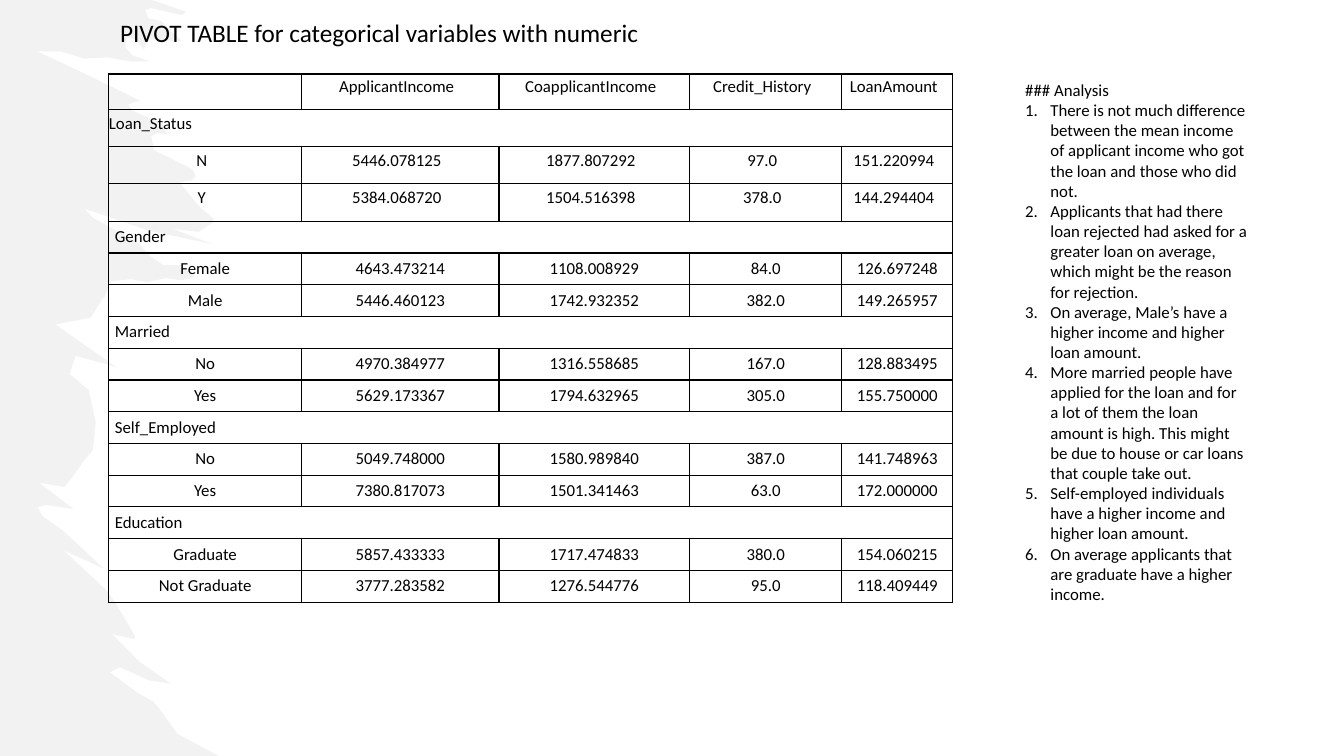
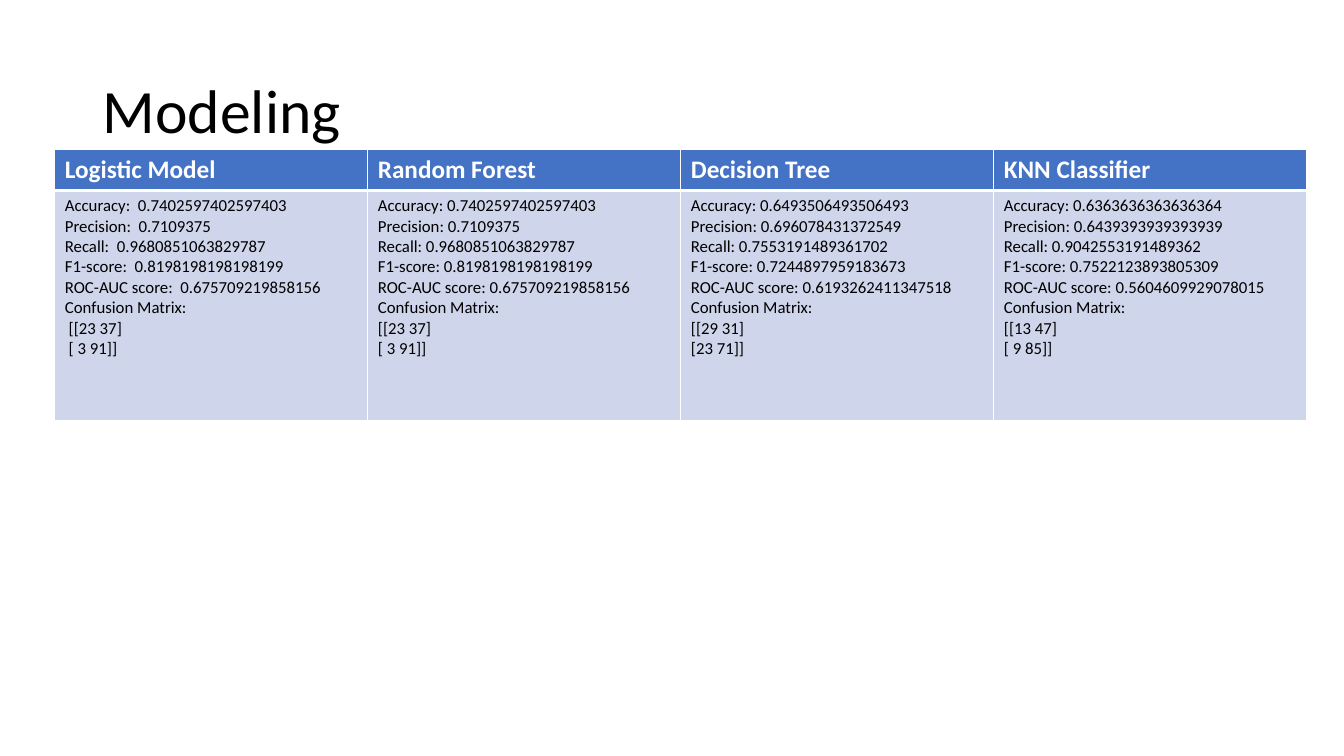
from lxml import etree
from pptx import Presentation
from pptx.dml.color import RGBColor
from pptx.enum.text import MSO_ANCHOR, MSO_AUTO_SIZE, PP_ALIGN
from pptx.oxml.ns import qn
from pptx.util import Inches, Pt

LEFT, CENTER = PP_ALIGN.LEFT, PP_ALIGN.CENTER
TOP, MIDDLE = MSO_ANCHOR.TOP, MSO_ANCHOR.MIDDLE
NO_AUTOFIT = MSO_AUTO_SIZE.NONE

BLACK = RGBColor(0x00, 0x00, 0x00)
WHITE = RGBColor(0xFF, 0xFF, 0xFF)
BLUE = RGBColor(0x44, 0x72, 0xC4)
PALE_BLUE = RGBColor(0xCF, 0xD5, 0xEA)
GRAY = RGBColor(0xE7, 0xE6, 0xE6)

FONT = "Calibri"
BODY_SIZE, HEADING_SIZE, TITLE_SIZE = 12, 18, 44
TITLE_AND_CONTENT, TITLE_ONLY = 1, 5
GRID = 100  # columns and rows on every slide
BRUSH_UNITS = 750  # brush edge units per slide height

# Cell margins: left, top, right, bottom in inches
HEADER_MARGINS = (0, 0.02, 0.07, 0.12)
STATUS_MARGINS = (0, 0.04, 0.07, 0.12)
GROUP_MARGINS = (0.06, 0.03, 0.06, 0.03)
PLAIN_MARGINS = (0.1, 0.05, 0.1, 0.05)

BRUSH_EDGE = [
    (0, 0), (151, 0), (185, 12), (180, 15), (150, 8), (144, 10), (147, 18),
    (160, 21), (180, 41), (150, 39), (145, 43), (143, 49), (134, 39),
    (126, 37), (124, 46), (131, 55), (149, 61), (129, 61), (107, 57),
    (83, 58), (60, 51), (37, 51), (88, 75), (139, 100), (134, 101),
    (127, 104), (132, 110), (159, 122), (166, 133), (157, 132), (150, 135),
    (153, 149), (191, 168), (194, 175), (190, 179), (178, 181), (195, 202),
    (201, 208), (212, 217), (212, 220), (197, 230), (171, 227), (210, 242),
    (148, 229), (84, 207), (92, 216), (136, 240), (149, 254), (162, 263),
    (180, 263), (193, 275), (180, 278), (164, 276), (146, 280), (130, 277),
    (110, 279), (104, 294), (102, 296), (90, 315), (65, 320), (55, 322),
    (115, 364), (75, 353), (69, 371), (88, 387), (95, 419), (92, 447),
    (84, 456), (72, 473), (64, 483), (39, 479), (73, 505), (46, 501),
    (37, 503), (42, 512), (62, 526), (103, 564), (63, 546), (105, 585),
    (115, 599), (134, 631), (133, 634), (111, 629), (139, 657), (169, 678),
    (148, 675), (119, 662), (109, 667), (136, 687), (152, 696), (158, 703),
    (176, 728), (217, 750), (0, 750),
]

PIVOT_HEADER = ["", "ApplicantIncome", "CoapplicantIncome", "Credit_History", "LoanAmount"]
PIVOT_GROUPS = {
    "Loan_Status": [
        ["N", "5446.078125", "1877.807292", "97.0", "151.220994"],
        ["Y", "5384.068720", "1504.516398", "378.0", "144.294404"],
    ],
    "Gender": [
        ["Female", "4643.473214", "1108.008929", "84.0", "126.697248"],
        ["Male", "5446.460123", "1742.932352", "382.0", "149.265957"],
    ],
    "Married": [
        ["No", "4970.384977", "1316.558685", "167.0", "128.883495"],
        ["Yes", "5629.173367", "1794.632965", "305.0", "155.750000"],
    ],
    "Self_Employed": [
        ["No", "5049.748000", "1580.989840", "387.0", "141.748963"],
        ["Yes", "7380.817073", "1501.341463", "63.0", "172.000000"],
    ],
    "Education": [
        ["Graduate", "5857.433333", "1717.474833", "380.0", "154.060215"],
        ["Not Graduate", "3777.283582", "1276.544776", "95.0", "118.409449"],
    ],
}

ANALYSIS = [
    "There is not much difference between the mean income of applicant income "
    "who got the loan and those who did not.",
    "Applicants that had there loan rejected had asked for a greater loan on "
    "average, which might be the reason for rejection.",
    "On average, Male’s have a higher income and higher loan amount.",
    "More married people have applied for the loan and for a lot of them the "
    "loan amount is high. This might be due to house or car loans that couple take out.",
    "Self-employed individuals have a higher income and higher loan amount.",
    "On average applicants that are graduate have a higher income.",
]

METRICS = ["Accuracy", "Precision", "Recall", "F1-score", "ROC-AUC score"]
# Model name, gap after a label, metric values, confusion matrix lines
MODELS = [
    ("Logistic Model", "  ",
     ["0.7402597402597403", "0.7109375", "0.9680851063829787",
      "0.8198198198198199", "0.675709219858156"], [" [[23 37]", " [ 3 91]]"]),
    ("Random Forest", " ",
     ["0.7402597402597403", "0.7109375", "0.9680851063829787",
      "0.8198198198198199", "0.675709219858156"], ["[[23 37]", "[ 3 91]]"]),
    ("Decision Tree", " ",
     ["0.6493506493506493", "0.696078431372549", "0.7553191489361702",
      "0.7244897959183673", "0.6193262411347518"], ["[[29 31]", "[23 71]]"]),
    ("KNN Classifier", " ",
     ["0.6363636363636364", "0.6439393939393939", "0.9042553191489362",
      "0.7522123893805309", "0.5604609929078015"], ["[[13 47]", "[ 9 85]]"]),
]


def write(frame, lines, size=BODY_SIZE, color=BLACK, bold=False, align=LEFT, line_spacing=1.0):
    """Fill a text frame with one formatted paragraph per line."""
    for index, line in enumerate(lines):
        paragraph = frame.paragraphs[0] if index == 0 else frame.add_paragraph()
        paragraph.alignment = align
        paragraph.line_spacing = line_spacing
        paragraph.space_before = paragraph.space_after = Pt(0)
        if not line:
            etree.SubElement(paragraph._p, qn("a:endParaRPr"), sz=str(size * 100))
            continue
        run = paragraph.add_run()
        run.text = line
        run.font.name = FONT
        run.font.size = Pt(size)
        run.font.bold = bold
        run.font.color.rgb = color


def set_list_level(paragraph, numbered):
    """Number a paragraph with a hanging indent, or remove its bullet."""
    properties = paragraph._p.get_or_add_pPr()
    indent = Inches(0.25) if numbered else 0
    properties.set("marL", str(indent))
    properties.set("indent", str(-indent))
    if numbered:
        etree.SubElement(properties, qn("a:buFont"), typeface=FONT)
        etree.SubElement(properties, qn("a:buAutoNum"), type="arabicPeriod")
    else:
        etree.SubElement(properties, qn("a:buNone"))


def set_borders(cell, color, **widths):
    """Draw the cell borders, one point wide unless a side is given."""
    properties = cell._tc.get_or_add_tcPr()
    for side in "LRTB":
        width = str(Pt(widths.get(side, 1)))
        line = etree.SubElement(properties, qn(f"a:ln{side}"), w=width)
        fill = etree.SubElement(line, qn("a:solidFill"))
        etree.SubElement(fill, qn("a:srgbClr"), val=str(color))


def format_cell(cell, lines, margins=PLAIN_MARGINS, anchor=TOP, fill=None, **text_format):
    """Set the text, margins, anchor and fill of a table cell."""
    cell.margin_left, cell.margin_top, cell.margin_right, cell.margin_bottom = map(Inches, margins)
    cell.vertical_anchor = anchor
    if fill is None:
        cell.fill.background()
    else:
        cell.fill.solid()
        cell.fill.fore_color.rgb = fill
    write(cell.text_frame, lines, **text_format)


class Deck:
    """The presentation, its grid and the current slide."""

    def __init__(self):
        """Start a widescreen presentation."""
        self.presentation = Presentation()
        self.presentation.slide_width = Inches(13.33)
        self.presentation.slide_height = Inches(7.5)
        self.slide = None

    def across(self, columns):
        """Convert grid columns to a length."""
        return round(self.presentation.slide_width * columns / GRID)

    def down(self, rows):
        """Convert grid rows to a length."""
        return round(self.presentation.slide_height * rows / GRID)

    def add_slide(self, layout):
        """Add a slide and make it current."""
        self.slide = self.presentation.slides.add_slide(self.presentation.slide_layouts[layout])

    def place(self, shape, left, top, width, height):
        """Move a placeholder to its place on the grid."""
        shape.left, shape.top = self.across(left), self.down(top)
        shape.width, shape.height = self.across(width), self.down(height)
        shape.text_frame.word_wrap = True
        shape.text_frame.auto_size = NO_AUTOFIT

    def title(self, text, box, anchor=MIDDLE, **text_format):
        """Fill the title placeholder."""
        shape = self.slide.shapes.title
        self.place(shape, *box)
        shape.text_frame.vertical_anchor = anchor
        write(shape.text_frame, [text], **text_format)

    def numbered_list(self, heading, items, box):
        """Fill the body placeholder with a heading and numbered items."""
        shape = self.slide.placeholders[1]
        self.place(shape, *box)
        shape.text_frame.vertical_anchor = TOP
        write(shape.text_frame, [heading] + items)
        for index, paragraph in enumerate(shape.text_frame.paragraphs):
            set_list_level(paragraph, numbered=index > 0)

    def brush(self):
        """Draw the translucent brush stroke behind the left edge."""
        scale = self.presentation.slide_height / BRUSH_UNITS
        builder = self.slide.shapes.build_freeform(*BRUSH_EDGE[0], scale=scale)
        builder.add_line_segments(BRUSH_EDGE[1:], close=True)
        shape = builder.convert_to_shape()
        shape.shadow.inherit = False
        shape.line.fill.background()
        shape.fill.solid()
        shape.fill.fore_color.rgb = GRAY
        color = shape._element.spPr.find(".//" + qn("a:srgbClr"))
        etree.SubElement(color, qn("a:alpha"), val="50000")
        self.slide.shapes._spTree.insert(2, shape._element)

    def table(self, left, top, columns, rows):
        """Add an unbanded table with the given column and row sizes."""
        frame = self.slide.shapes.add_table(
            len(rows), len(columns), self.across(left), self.down(top),
            self.across(sum(columns)), self.down(sum(rows)))
        table = frame.table
        table.first_row = table.horz_banding = False
        for column, width in zip(table.columns, columns):
            column.width = self.across(width)
        for row, height in zip(table.rows, rows):
            row.height = self.down(height)
        return table


def pivot_slide(deck):
    """Build the pivot table and its analysis."""
    deck.add_slide(TITLE_AND_CONTENT)
    deck.brush()
    deck.title("PIVOT TABLE for categorical variables with numeric",
               (8.18, 1.6, 82.8, 5.4), anchor=TOP, size=HEADING_SIZE)
    deck.numbered_list("### Analysis", ANALYSIS, (75.53, 9.87, 18.15, 71.33))

    lines = [PIVOT_HEADER]
    for group, records in PIVOT_GROUPS.items():
        lines += [[group, "", "", "", ""]] + records
    table = deck.table(8.1, 9.8, [14.33, 14.7, 14.18, 11.33, 8.25],
                       [4.67] + [4.93] * 3 + [4.2] * 12)
    for row, values in enumerate(lines):
        is_group = values[0] in PIVOT_GROUPS
        margins = HEADER_MARGINS if row == 0 else STATUS_MARGINS if row < 4 else GROUP_MARGINS
        for column, value in enumerate(values):
            cell = table.cell(row, column)
            set_borders(cell, BLACK)
            format_cell(cell, [value], margins, anchor=TOP if row < 4 else MIDDLE,
                        align=LEFT if is_group else CENTER)
        if is_group:
            table.cell(row, 0).merge(table.cell(row, len(values) - 1))


def modeling_slide(deck):
    """Build the comparison of the models."""
    deck.add_slide(TITLE_ONLY)
    deck.title("Modeling", (6.9, 5.33, 86.25, 19.33), size=TITLE_SIZE, line_spacing=0.9)
    table = deck.table(4.08, 19.8, [23.29] * len(MODELS), [5.3, 30.4])
    for column, (name, gap, values, matrix) in enumerate(MODELS):
        header, details = table.cell(0, column), table.cell(1, column)
        set_borders(header, WHITE, B=3)
        set_borders(details, WHITE, T=3)
        format_cell(header, [name], fill=BLUE, size=HEADING_SIZE, color=WHITE, bold=True)
        scores = [f"{metric}:{gap}{value}" for metric, value in zip(METRICS, values)]
        format_cell(details, scores + ["Confusion Matrix:"] + matrix, fill=PALE_BLUE)


deck = Deck()
pivot_slide(deck)
modeling_slide(deck)
deck.presentation.save("out.pptx")
